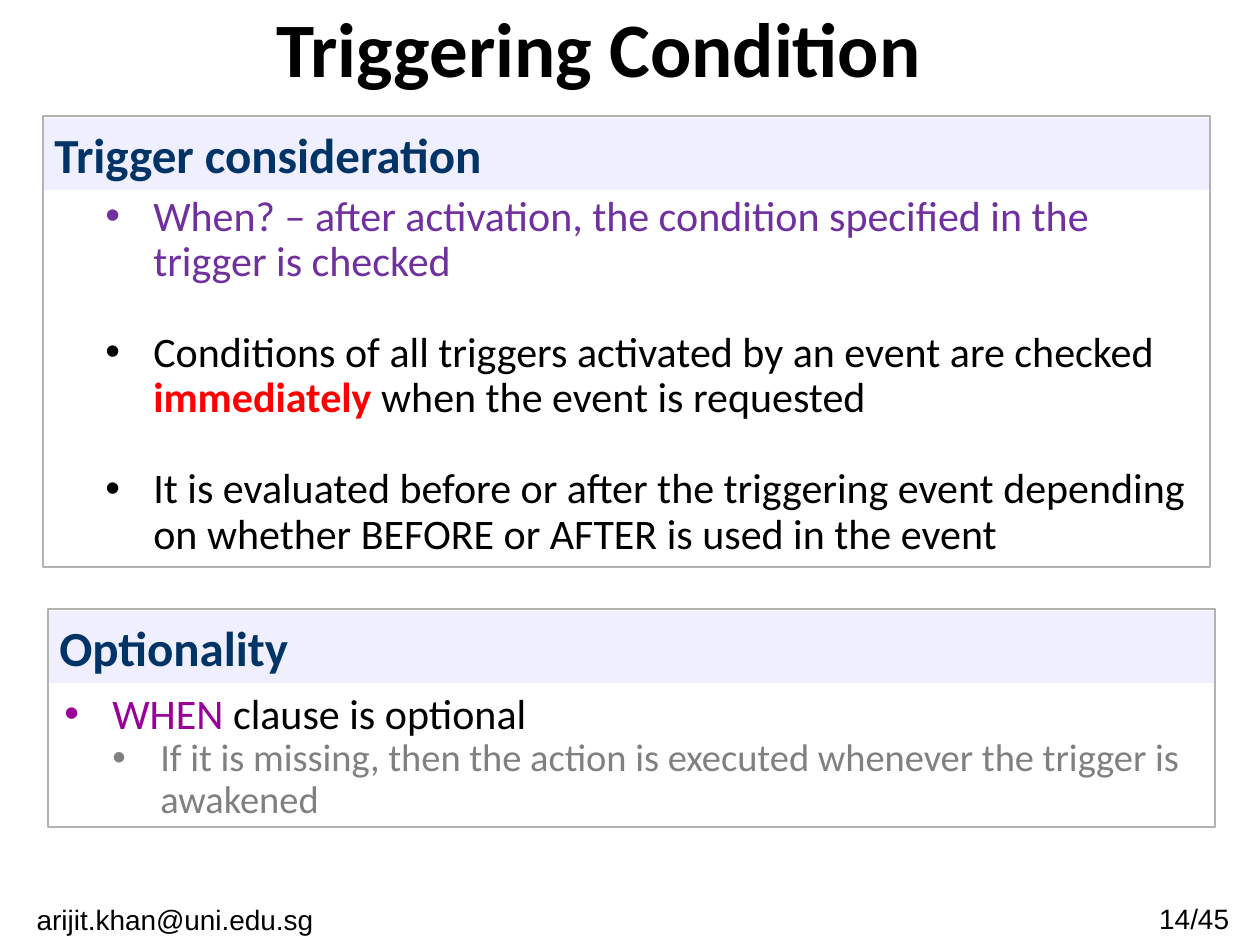
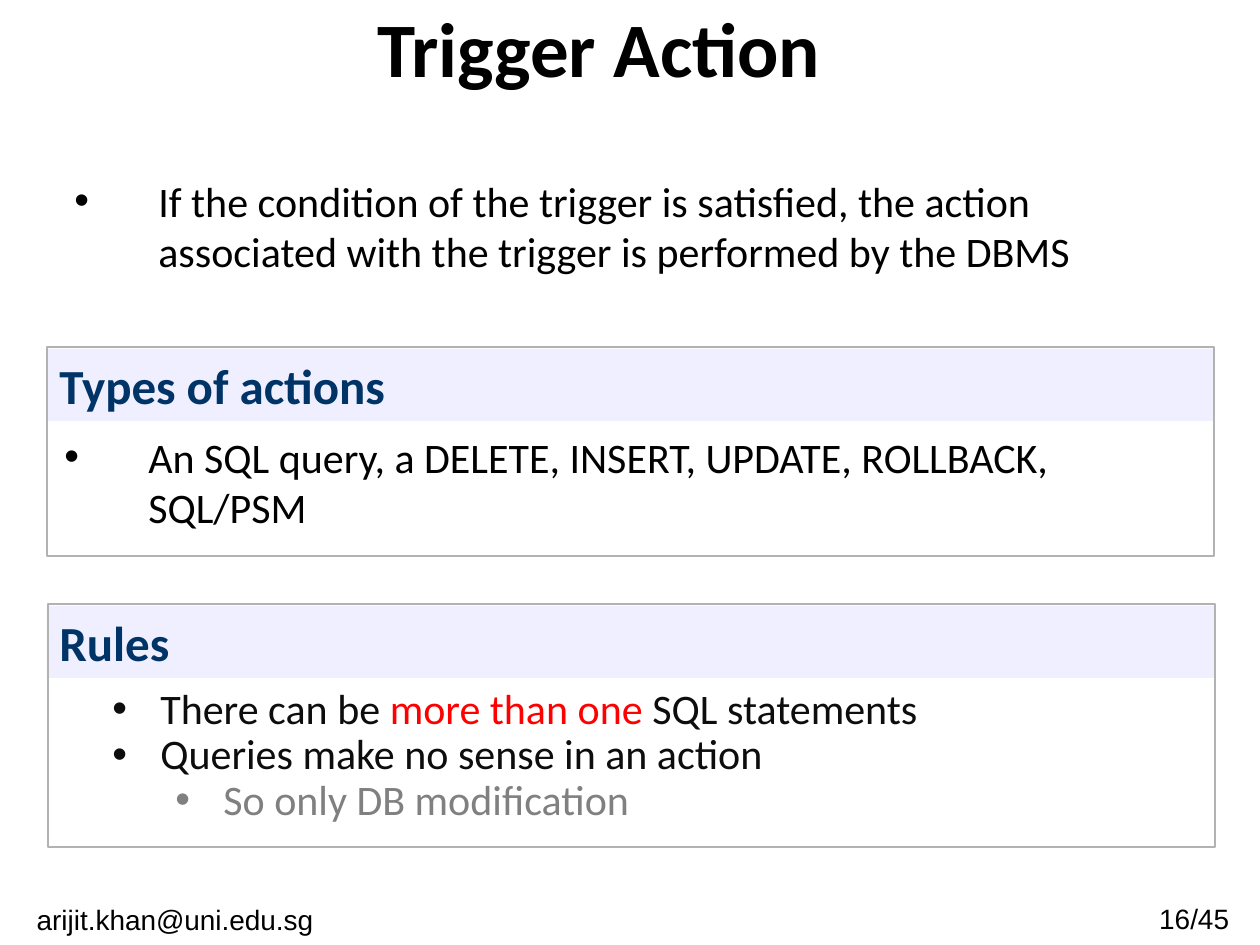
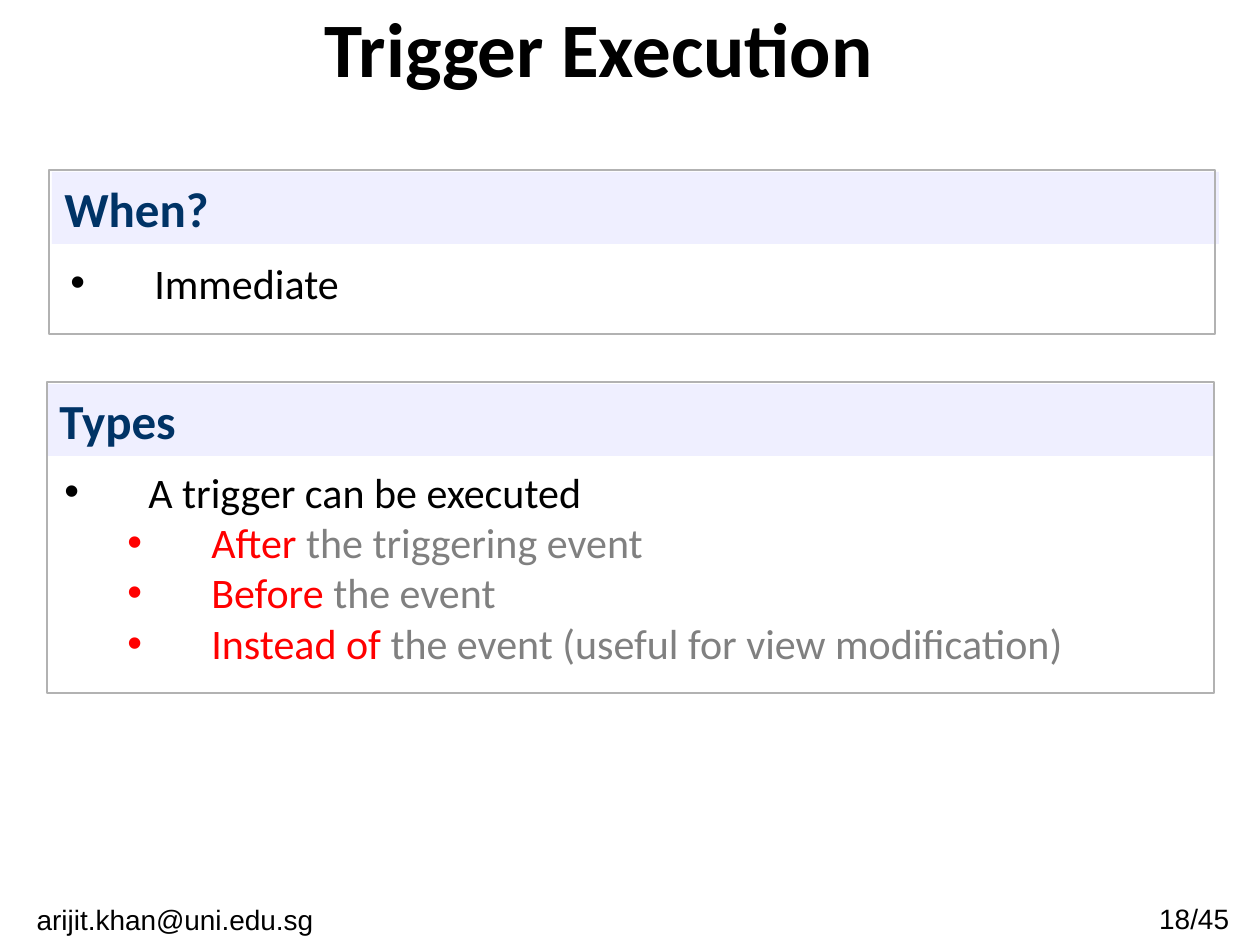
from lxml import etree
from pptx import Presentation
from pptx.dml.color import RGBColor
from pptx.enum.shapes import MSO_SHAPE
from pptx.enum.text import MSO_ANCHOR, PP_ALIGN
from pptx.oxml.ns import qn
from pptx.util import Emu, Pt

RECT = MSO_SHAPE.RECTANGLE
TOP, MIDDLE = MSO_ANCHOR.TOP, MSO_ANCHOR.MIDDLE
LEFT, CENTER = PP_ALIGN.LEFT, PP_ALIGN.CENTER
SCALE = 914400 / 126

BLACK, SOFT_BLACK, GRAY, RED = "000000", "0D0D0D", "808080", "FF0000"
PURPLE, MAGENTA, NAVY = "7030A0", "990099", "003366"
BAND_FILL, FRAME_LINE = "EFEFFF", "B2B2B2"
BODY_FONT, FOOTER_FONT = "Calibri", "Arial"

TITLE_BOX = (32, 0, 1134, 94)
EMAIL_BOX = (10, 896, 338, 49)
PAGE_BOX = (1125, 895, 146, 49)
EMAIL, LAST_PAGE = "arijit.khan@uni.edu.sg ", 45
BAND_W, BAND_H, BAND_DROP = 1167, 72, 2
BODY_W = 1162

# Bullet lists: line spacing, hanging indent, left margin per level
TIGHT = (0.9, 48, (48, 96, 159))
LOOSE = (1.0, 84, (84, 147))

# Paragraph: level, runs. Run: text, colour, then size and bold if not 24 plain.
# Body: left, top, height, list style, space between items in points, paragraphs.
# Panel: heading, band left, frame box, body.
SLIDES = [
    {"title": "Triggering Condition", "page": 14, "panels": [
        ("Optionality", 47, (48, 609, 1167, 218), (52, 687, 142, TIGHT, 0, [
            (0, [("WHEN", MAGENTA), (" clause is optional", BLACK)]),
            (1, [("If it is missing, then the action is executed whenever "
                  "the trigger is awakened", GRAY, 22)]),
        ])),
        ("Trigger consideration", 42, (43, 116, 1167, 451), (45, 189, 417, TIGHT, 26, [
            (1, [("When? – after activation, the condition specified in the "
                  "trigger is checked", PURPLE)]),
            (1, [("Conditions of all triggers activated by an event are checked ", BLACK),
                 ("immediately", RED, 24, True),
                 (" when the event is requested", BLACK)]),
            (1, [("It is evaluated before or after the triggering event depending "
                  "on whether BEFORE or AFTER is used in the event", BLACK)]),
        ])),
    ]},
    {"title": "Trigger Action", "page": 16,
     "intro": (62, 169, 115, LOOSE, 0, [
         (0, [("If the condition of the trigger is satisfied, the action "
               "associated with the trigger is performed by the DBMS", BLACK)]),
     ]),
     "panels": [
        ("Types of actions", 47, (47, 347, 1167, 209), (52, 425, 115, LOOSE, 0, [
            (0, [("An SQL query, a DELETE, INSERT, UPDATE, ROLLBACK, SQL/PSM", BLACK)]),
        ])),
        ("Rules", 47, (48, 604, 1167, 243), (52, 682, 150, TIGHT, 0, [
            (1, [("There can be ", SOFT_BLACK), ("more than one", RED),
                 (" SQL statements", SOFT_BLACK)]),
            (1, [("Queries make no sense in an action", SOFT_BLACK)]),
            (2, [("So only DB modification", GRAY)]),
        ])),
    ]},
    {"title": "Trigger Execution", "page": 18, "panels": [
        ("When?", 52, (49, 170, 1166, 164), (58, 251, 63, LOOSE, 0, [
            (0, [("Immediate", BLACK)]),
        ])),
        ("Types", 47, (47, 382, 1167, 311), (52, 460, 217, LOOSE, 0, [
            (0, [("A trigger can be executed", BLACK)]),
            (1, [("After", RED), (" the triggering event", GRAY)]),
            (1, [("Before", RED), (" the event", GRAY)]),
            (1, [("Instead of", RED),
                 (" the event (useful for view modification)", GRAY)]),
        ])),
    ]},
]


def px(n):
    """Turn pixels into EMU."""
    return Emu(round(n * SCALE))


def rgb(color):
    """Turn a hex string into a colour."""
    return RGBColor.from_string(color)


def add_run(p, text, color, size=24, bold=False, font=BODY_FONT):
    """Append one formatted run to a paragraph."""
    r = p.add_run()
    r.text = text
    r.font.name, r.font.size, r.font.bold = font, Pt(size), bold
    r.font.color.rgb = rgb(color)


def add_text_box(s, box, anchor=TOP):
    """Add a wrapping text box and return its text frame."""
    tf = s.shapes.add_textbox(*map(px, box)).text_frame
    tf.word_wrap = True
    tf.vertical_anchor = anchor
    return tf


def add_line(s, box, text, size, font, bold=False, anchor=TOP):
    """Add one centred black line of text."""
    p = add_text_box(s, box, anchor).paragraphs[0]
    p.alignment = CENTER
    add_run(p, text, BLACK, size, bold, font)


def add_rect(s, box, fill=None, line=None):
    """Add a rectangle with an optional fill and outline."""
    sp = s.shapes.add_shape(RECT, *map(px, box))
    sp.shadow.inherit = False
    if fill:
        sp.fill.solid()
        sp.fill.fore_color.rgb = rgb(fill)
    else:
        sp.fill.background()
    if line:
        sp.line.color.rgb = rgb(line)
        sp.line.width = Pt(0.75)
    else:
        sp.line.fill.background()
    return sp


def add_bullets(s, left, top, height, style, gap, paragraphs):
    """Add a bulleted text box."""
    spacing, hang, margins = style
    tf = add_text_box(s, (left, top, BODY_W, height))
    for i, (level, runs) in enumerate(paragraphs):
        p = tf.add_paragraph() if i else tf.paragraphs[0]
        p.level = level
        p.line_spacing = spacing
        p.space_before = Pt(gap if i else 0)
        pPr = p._p.get_or_add_pPr()
        pPr.set("marL", str(px(margins[level])))
        pPr.set("indent", str(-px(hang)))
        etree.SubElement(pPr, qn("a:buFont")).set("typeface", FOOTER_FONT)
        etree.SubElement(pPr, qn("a:buChar")).set("char", "•")
        for run in runs:
            add_run(p, *run)


def add_panel(s, heading, band_left, frame, body):
    """Add a framed panel with a heading band and bullets."""
    band = (band_left, frame[1] + BAND_DROP, BAND_W, BAND_H)
    tf = add_rect(s, band, fill=BAND_FILL).text_frame
    tf.vertical_anchor = TOP
    p = tf.paragraphs[0]
    p.alignment = LEFT
    add_run(p, heading, NAVY, 28, True)
    add_rect(s, frame, line=FRAME_LINE)
    add_bullets(s, *body)


def add_slide(prs, content):
    """Add one slide with its title, footers and panels."""
    s = prs.slides.add_slide(prs.slide_layouts[6])
    add_line(s, TITLE_BOX, content["title"], 44, BODY_FONT, True, MIDDLE)
    add_line(s, PAGE_BOX, f"{content['page']}/{LAST_PAGE} ", 16, FOOTER_FONT)
    add_line(s, EMAIL_BOX, EMAIL, 16, FOOTER_FONT)
    if "intro" in content:
        add_bullets(s, *content["intro"])
    for panel in content["panels"]:
        add_panel(s, *panel)


prs = Presentation()
prs.slide_width, prs.slide_height = px(1260), px(945)
for content in SLIDES:
    add_slide(prs, content)
prs.save("out.pptx")
